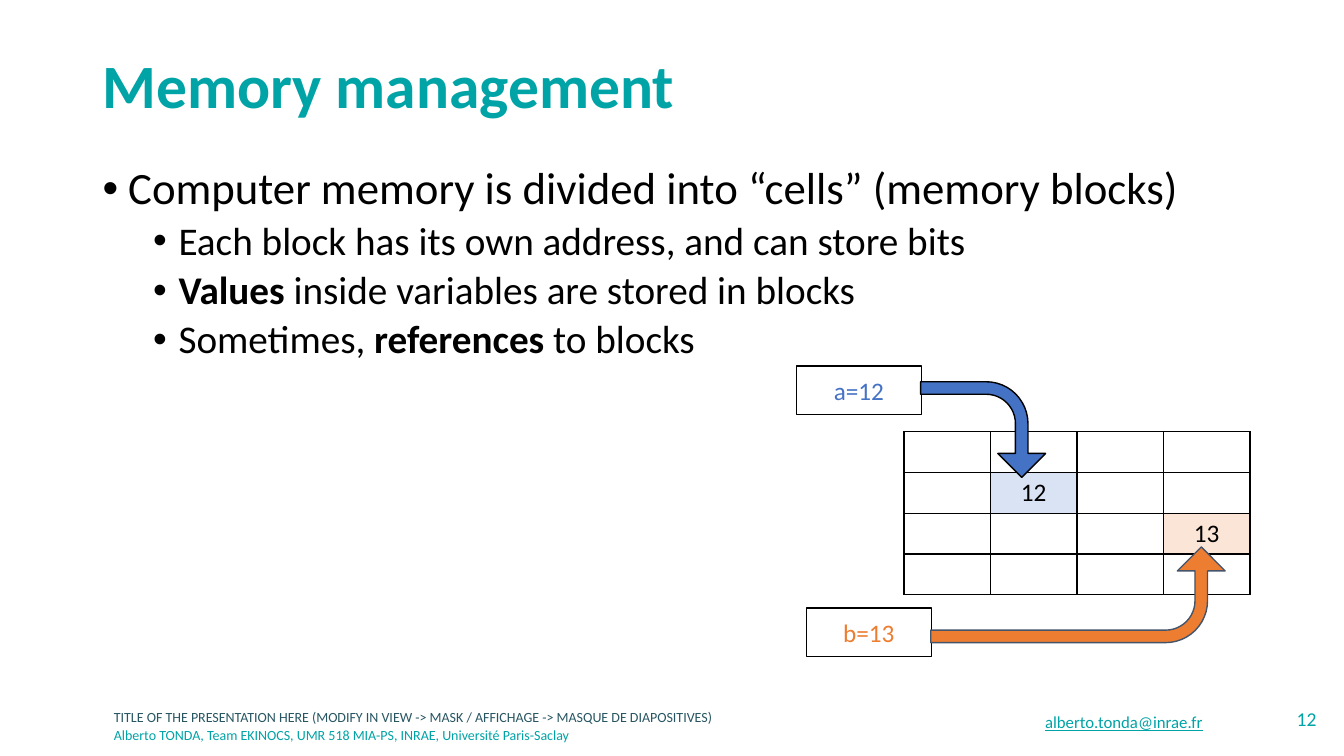
from dataclasses import dataclass, field
from typing import Any

import pptx
import pptx.dml.color
import pptx.enum.shapes
import pptx.enum.text
import pptx.oxml
import pptx.oxml.ns
import pptx.util
from pptx.util import Cm

ALIGN = pptx.enum.text.PP_ALIGN
ANCHOR = pptx.enum.text.MSO_ANCHOR
SHAPE = pptx.enum.shapes.MSO_SHAPE
TEAL, BLACK, WHITE = "00A3A6", "000000", "FFFFFF"
BLUE, ORANGE = "4472C4", "ED7D31"
FONT = "Calibri"


@dataclass
class Span:
    text: str
    size: float
    color: str = BLACK
    font: dict[str, Any] = field(default_factory=dict)


@dataclass
class Para:
    spans: list[Span]
    format: dict[str, Any] = field(default_factory=dict)
    indent: float | None = None


@dataclass
class Box:
    place: tuple[float, float, float, float]
    paras: list[Para]
    anchor: Any = ANCHOR.TOP


@dataclass
class Variable:
    text: str
    color: str
    place: tuple[float, float, float, float]
    arrow: tuple[float, float, float, float]
    rotation: int
    flipped: bool
    arrow_line: str


def rgb(value: str) -> pptx.dml.color.RGBColor:
    return pptx.dml.color.RGBColor.from_string(value)


def apply(target: Any, values: dict[str, Any]) -> None:
    for name, value in values.items():
        setattr(target, name, value)


def add_xml(parent: Any, xml: str) -> None:
    namespace = pptx.oxml.ns.nsdecls("a")
    parent.append(pptx.oxml.parse_xml(xml.replace(" ", f" {namespace} ", 1)))


def write_paras(frame: Any, paras: list[Para]) -> None:
    for index, para in enumerate(paras):
        paragraph = frame.paragraphs[0] if index == 0 else frame.add_paragraph()
        if para.indent is not None:
            properties = paragraph._p.get_or_add_pPr()
            properties.set("marL", str(Cm(para.indent)))
            properties.set("indent", str(Cm(-0.64)))
            add_xml(properties, '<a:buFont typeface="Arial"/>')
            add_xml(properties, '<a:buChar char="•"/>')
        apply(paragraph, para.format)
        for span in para.spans:
            run = paragraph.add_run()
            run.text = span.text
            size = pptx.util.Pt(span.size)
            apply(run.font, {"name": FONT, "size": size, **span.font})
            run.font.color.rgb = rgb(span.color)


def draw_box(slide: Any, box: Box) -> None:
    frame = slide.shapes.add_textbox(*map(Cm, box.place)).text_frame
    apply(frame, {"word_wrap": True, "vertical_anchor": box.anchor})
    write_paras(frame, box.paras)


def draw_shape(slide: Any, kind: Any, place: tuple, fill: str, line: str) -> Any:
    shape = slide.shapes.add_shape(kind, *map(Cm, place))
    shape.shadow.inherit = False
    shape.fill.solid()
    shape.fill.fore_color.rgb = rgb(fill)
    shape.line.color.rgb = rgb(line)
    shape.line.width = pptx.util.Pt(1)
    return shape


def centred(text: str, color: str = BLACK) -> list[Para]:
    return [Para([Span(text, 18, color)], {"alignment": ALIGN.CENTER})]


def draw_memory(slide: Any, filled: dict[tuple[int, int], tuple[str, str]]) -> None:
    count, width, height = 4, 2.18, 1.03
    lengths = (22.78, 10.87, count * width, count * height)
    table = slide.shapes.add_table(count, count, *map(Cm, lengths)).table
    apply(table, {"first_row": False, "horz_banding": False})
    for index in range(count):
        table.columns[index].width = Cm(width)
        table.rows[index].height = Cm(height)
    for row in range(count):
        for column in range(count):
            cell = table.cell(row, column)
            properties = cell._tc.get_or_add_tcPr()
            for side in "LRTB":
                add_xml(
                    properties,
                    f'<a:ln{side} w="12700"><a:solidFill>'
                    f'<a:srgbClr val="{BLACK}"/></a:solidFill></a:ln{side}>',
                )
            if (row, column) in filled:
                text, color = filled[row, column]
                cell.fill.solid()
                cell.fill.fore_color.rgb = rgb(color)
                write_paras(cell.text_frame, centred(text))
            else:
                cell.fill.background()


def draw_variable(slide: Any, variable: Variable) -> None:
    label = draw_shape(slide, SHAPE.RECTANGLE, variable.place, WHITE, BLACK)
    label.text_frame.vertical_anchor = ANCHOR.MIDDLE
    write_paras(label.text_frame, centred(variable.text, variable.color))
    arrow = draw_shape(
        slide, SHAPE.BENT_ARROW, variable.arrow, variable.color, variable.arrow_line
    )
    arrow.rotation = variable.rotation
    for index, value in enumerate((0.131, 0.25, 0.25, 0.438)):
        arrow.adjustments[index] = value
    if variable.flipped:
        arrow._element.spPr.xfrm.set("flipV", "1")


def bullet(level: int, *parts: tuple[str, bool]) -> Para:
    values: dict[str, Any] = {"level": level, "line_spacing": 0.9}
    if level:
        values["space_before"] = pptx.util.Pt(5)
    spans = [Span(text, 32 - 4 * level, font={"bold": bold}) for text, bold in parts]
    return Para(spans, values, 0.64 + 1.27 * level)


RIGHT = {"alignment": ALIGN.RIGHT}
BOXES = [
    Box((2.62, 17.73, 18.64, 0.71), [Para([Span(
        "TITLE OF THE PRESENTATION HERE (MODIFY IN VIEW -> MASK / AFFICHAGE -> MASQUE DE DIAPOSITIVES)",
        10, "275662")])]),
    Box((2.62, 18.19, 18.64, 0.71), [Para([Span(
        "Alberto TONDA, Team EKINOCS, UMR 518 MIA-PS, INRAE, Université Paris-Saclay",
        10, TEAL)])]),
    Box((2.34, 1.02, 29.21, 2.41), [Para(
        [Span("Memory management", 44, TEAL, {"bold": True})],
        {"line_spacing": 0.9})], ANCHOR.MIDDLE),
    Box((2.34, 4.06, 29.21, 13.11), [
        bullet(0, ("Computer memory is divided into “cells” (memory blocks)", False)),
        bullet(1, ("Each block has its own address, and can store bits", False)),
        bullet(1, ("Values", True), (" inside variables are stored in blocks", False)),
        bullet(1, ("Sometimes, ", False), ("references", True), (" to blocks", False)),
    ]),
    Box((30.84, 17.68, 2.59, 1.02), [Para([Span("12", 14, TEAL)], RIGHT)]),
    Box((19.13, 17.68, 11.43, 1.02), [Para(
        [Span("alberto.tonda@inrae.fr", 12, TEAL, {"underline": True})], RIGHT)],
        ANCHOR.MIDDLE),
]
VARIABLES = [
    Variable("a=12", BLUE, (20.07, 9.22, 3.15, 1.22),
             (23.57, 9.25, 2.41, 3.15), 90, False, BLACK),
    Variable("b=13", ORANGE, (20.32, 15.32, 3.15, 1.22),
             (25.96, 11.28, 2.41, 7.42), 270, True, "44546A"),
]


def main() -> None:
    deck = pptx.Presentation()
    apply(deck, {"slide_width": Cm(33.87), "slide_height": Cm(19.05)})
    page = deck.slides.add_slide(deck.slide_layouts[6])
    for box in BOXES:
        draw_box(page, box)
    draw_memory(page, {(1, 1): ("12", "DAE3F3"), (2, 3): ("13", "FBE5D6")})
    for variable in VARIABLES:
        draw_variable(page, variable)
    deck.save("out.pptx")


if __name__ == "__main__":
    main()
